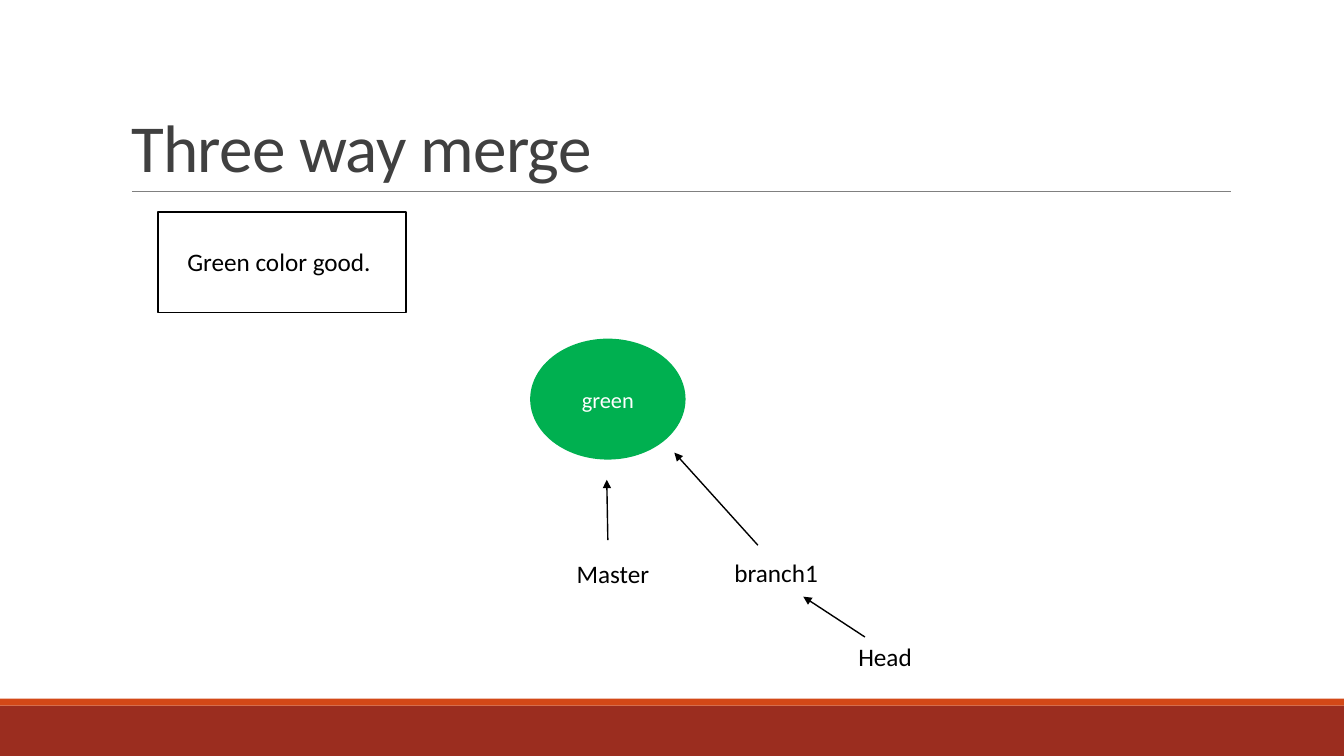
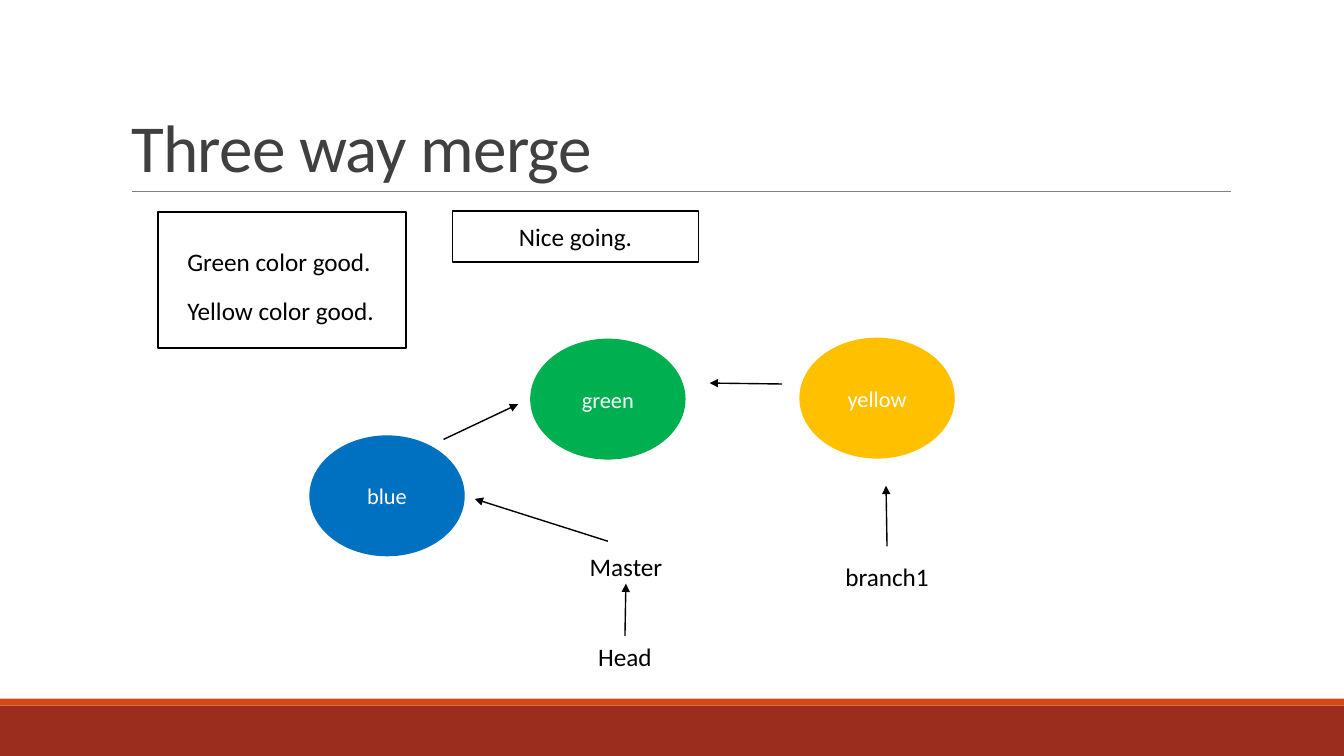
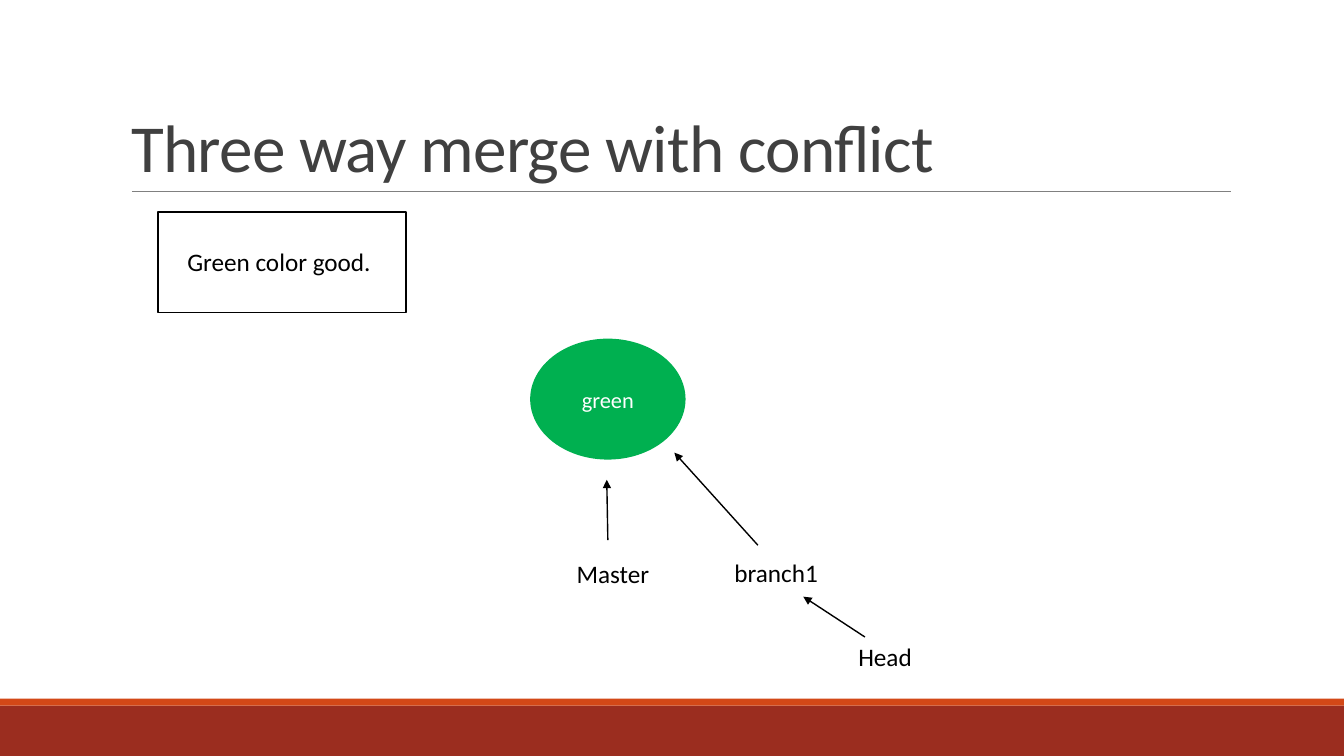
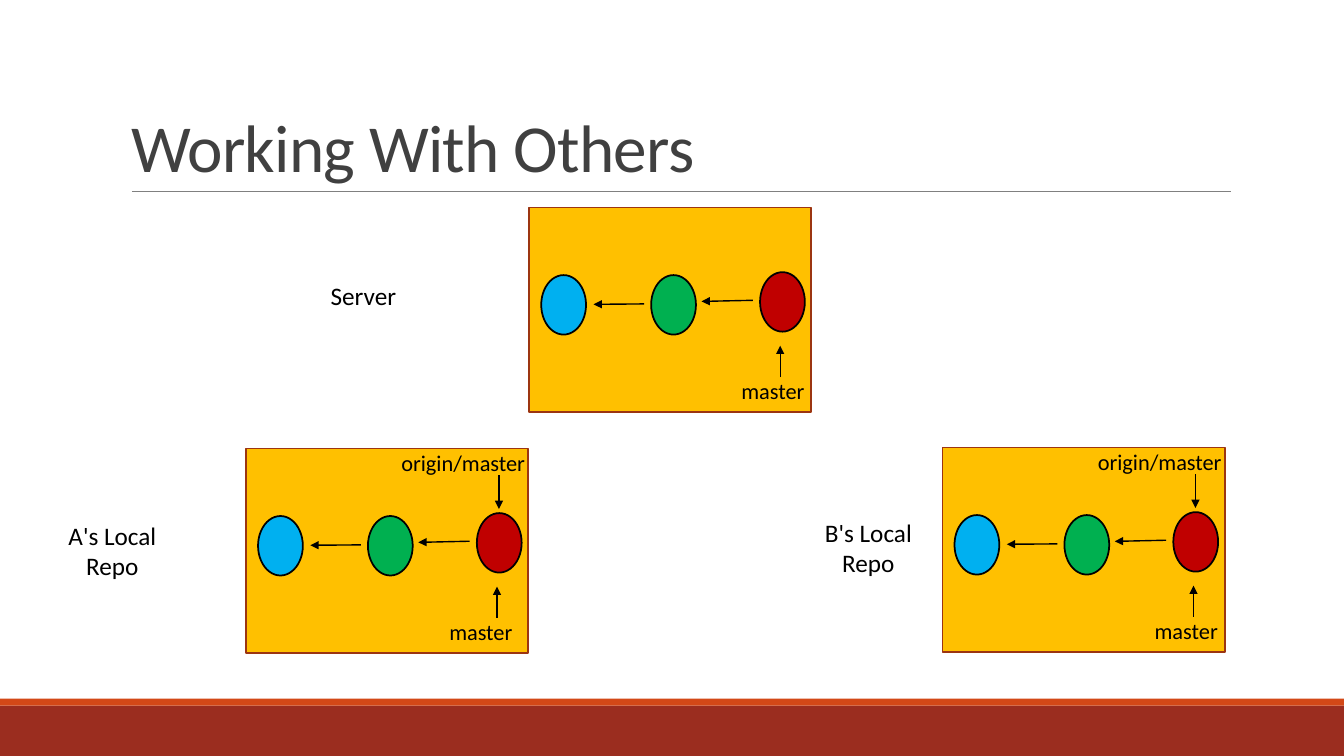
from pptx import Presentation
from pptx.dml.color import RGBColor
from pptx.enum.shapes import MSO_CONNECTOR, MSO_SHAPE
from pptx.enum.text import MSO_ANCHOR, MSO_AUTO_SIZE, PP_ALIGN
from pptx.oxml.ns import qn
from pptx.util import Pt
from lxml import etree

RECT, OVAL = MSO_SHAPE.RECTANGLE, MSO_SHAPE.OVAL
LEFT, MID = PP_ALIGN.LEFT, PP_ALIGN.CENTER
STRAIGHT = MSO_CONNECTOR.STRAIGHT
TOP = 0

# Shared look
WIDE, HIGH = 960, 540
FONT = "Calibri"
BLACK, WHITE, GREY, RULE = "000000", "FFFFFF", "404040", "808080"
GREEN, GOLD, BLUE, SKY, RED = "00B050", "FFC000", "0070C0", "00B0F0", "C00000"
RUST, BRICK, EDGE = "D34817", "9B2D1F", "9C3511"
BANDS = [(504, 36, BRICK), (499, 5, RUST)]  # top, height, fill

# Merge slides: notes (left, top, width, height, text), lines (top, text),
# commits (left, top, fill, text), labels (centre, top, text),
# arrows (start point or label, end point)
START = {
    "notes": [(113, 151.2, 177, 72, "")],
    "lines": [(172.1, "Green color good.")],
    "commits": [(378.7, 241.9, GREEN, "green")],
    "labels": [(437.8, 395.2, "Master"), (554.4, 394.6, "branch1"),
               (632.2, 454.3, "Head")],
    "arrows": [((434.2, 385.9), (433.4, 342.7)),
               ((541.4, 389.5), (481.7, 323.3)),
               ((617.8, 455), (573.8, 426.2))],
}
SPLIT = {
    "notes": [(113, 151.2, 177, 97.2, ""),
              (323.3, 150.5, 175.7, 36.7, "Nice going.")],
    "lines": [(172.1, "Green color good."), (207.4, "Yellow color good.")],
    "commits": [(378.7, 241.9, GREEN, "green"), (571, 241.2, GOLD, "yellow"),
                (221, 311, BLUE, "blue")],
    "labels": [(447.1, 390.2, "Master"), (633.6, 397.4, "branch1"),
               (446.4, 454.3, "Head")],
    "arrows": [((434.2, 386.6), (339.1, 356.4)),
               ("Head", (447.1, 416.9)),
               ((633.6, 390.2), (632.9, 347)),
               ((558.7, 274.3), (506.9, 273.6)),
               ((316.8, 313.9), (370.1, 288.7))],
}
MERGES = [("Three way merge", START), ("Three way merge", SPLIT),
          ("Three way merge with conflict", START)]

# Repositories: left, top, name, name centre, name top, master centre, has origin
REPOS = [(378, 148.3, "Server", 259.6, 196.6, 174.2, False),
         (175.7, 320.4, "A's Local Repo", 80.3, 367.9, 167.8, True),
         (673.2, 319.7, "B's Local Repo", 620.3, 365.8, 174.2, True)]
# Inside each repository, measured from its corner
DOTS = [(8.6, 48.2, SKY), (87.1, 48.2, GREEN), (164.9, 46.1, RED)]
LINKS = [((82.1, 68.8), (46, 69.1)), ((159.8, 66.2), (123.1, 67)),
         ((179.3, 121), (179.3, 98.6))]
ORIGIN = ((180.7, 19), (180.7, 43.2))


def color(code):
    return RGBColor.from_string(code)


def write(frame, text, size, ink, align=MID):
    frame.word_wrap = True
    para = frame.paragraphs[0]
    para.text = text
    para.alignment = align
    para.font.name, para.font.size = FONT, Pt(size)
    para.font.color.rgb = color(ink)
    return para


def shape(slide, kind, left, top, wide, high, fill, edge=None,
          text="", size=18, ink=BLACK):
    item = slide.shapes.add_shape(kind, Pt(left), Pt(top), Pt(wide), Pt(high))
    item.shadow.inherit = False
    item.fill.solid()
    item.fill.fore_color.rgb = color(fill)
    if edge:
        item.line.color.rgb = color(edge)
        item.line.width = Pt(1.25)
    else:
        item.line.fill.background()
    if text:
        item.text_frame.vertical_anchor = MSO_ANCHOR.MIDDLE
        write(item.text_frame, text, size, ink)


def label(slide, left, top, wide, text, size=18, align=MID, high=28.8):
    box = slide.shapes.add_textbox(Pt(left), Pt(top), Pt(wide), Pt(high))
    write(box.text_frame, text, size, BLACK, align)
    box.text_frame.auto_size = MSO_AUTO_SIZE.SHAPE_TO_FIT_TEXT
    return box


def line(slide, start, end, ink=BLACK, width=1, arrow=True):
    item = slide.shapes.add_connector(
        STRAIGHT, *(Pt(n) for n in (*start, *end)))
    item.line.color.rgb = color(ink)
    item.line.width = Pt(width)
    props = item.element.spPr
    if arrow:
        etree.SubElement(props.find(qn("a:ln")), qn("a:tailEnd"),
                         type="triangle")
    etree.SubElement(props, qn("a:effectLst"))
    return item


def page(deck, text):
    slide = deck.slides.add_slide(deck.slide_layouts[5])
    for top, high, fill in BANDS:
        shape(slide, RECT, 0, top, WIDE, high, fill)
    line(slide, (94.3, 136.8), (879, 136.8), RULE, 0.5, False)
    title = slide.shapes.title
    title.left, title.top = Pt(86.4), Pt(22.3)
    title.width, title.height = Pt(792), Pt(114.5)
    frame = title.text_frame
    frame.vertical_anchor = MSO_ANCHOR.BOTTOM
    frame.auto_size = MSO_AUTO_SIZE.NONE
    para = write(frame, text, 48, GREY, LEFT)
    para.line_spacing = 0.85
    para.runs[0].font.bold = False
    para.runs[0].font.element.set("spc", "-50") if hasattr(
        para.runs[0].font, "element") else para.runs[0]._r.get_or_add_rPr().set("spc", "-50")
    return slide


def merge(deck, title, parts):
    slide = page(deck, title)
    for left, top, wide, high, text in parts["notes"]:
        shape(slide, RECT, left, top, wide, high, WHITE, BLACK, text)
    for top, text in parts["lines"]:
        label(slide, 126.7, top, 260, text, align=LEFT)
    for left, top, fill, text in parts["commits"]:
        shape(slide, OVAL, left, top, 111, 86.4, fill, None, text, 16, WHITE)
    boxes = {text: label(slide, mid - 78.5, top, 157, text)
             for mid, top, text in parts["labels"]}
    for start, end in parts["arrows"]:
        if start in boxes:
            line(slide, end, end).begin_connect(boxes[start], TOP)
        else:
            line(slide, start, end)


def repo(slide, left, top, name, mid, high, tip, origin):
    label(slide, mid - 44.3, high, 88.6, name)
    shape(slide, RECT, left, top, 201.6, 146.2, GOLD, EDGE)
    for x, y, fill in DOTS:
        shape(slide, OVAL, left + x, top + y, 32, 42.5, fill, BLACK)
    for ends in LINKS + [ORIGIN] * origin:
        line(slide, *((left + x, top + y) for x, y in ends))
    label(slide, left + tip - 43.2, top + 117.4, 86.4, "master", 16, high=26.6)
    if origin:
        label(slide, left + 81.4, top - 2.9, 147.6, "origin/master", 16,
              high=26.6)


def main():
    deck = Presentation()
    deck.slide_width, deck.slide_height = Pt(WIDE), Pt(HIGH)
    for title, parts in MERGES:
        merge(deck, title, parts)
    slide = page(deck, "Working With Others")
    for row in REPOS:
        repo(slide, *row)
    deck.save("out.pptx")


if __name__ == "__main__":
    main()
